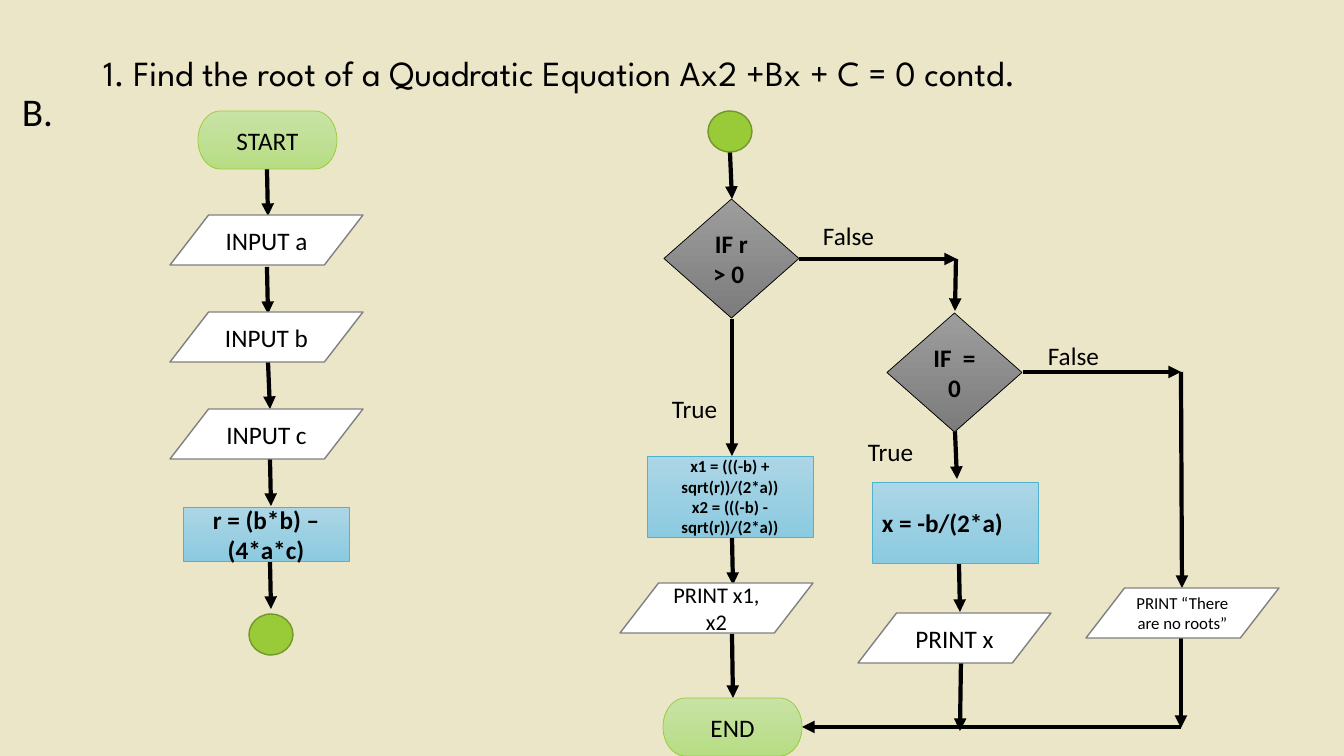
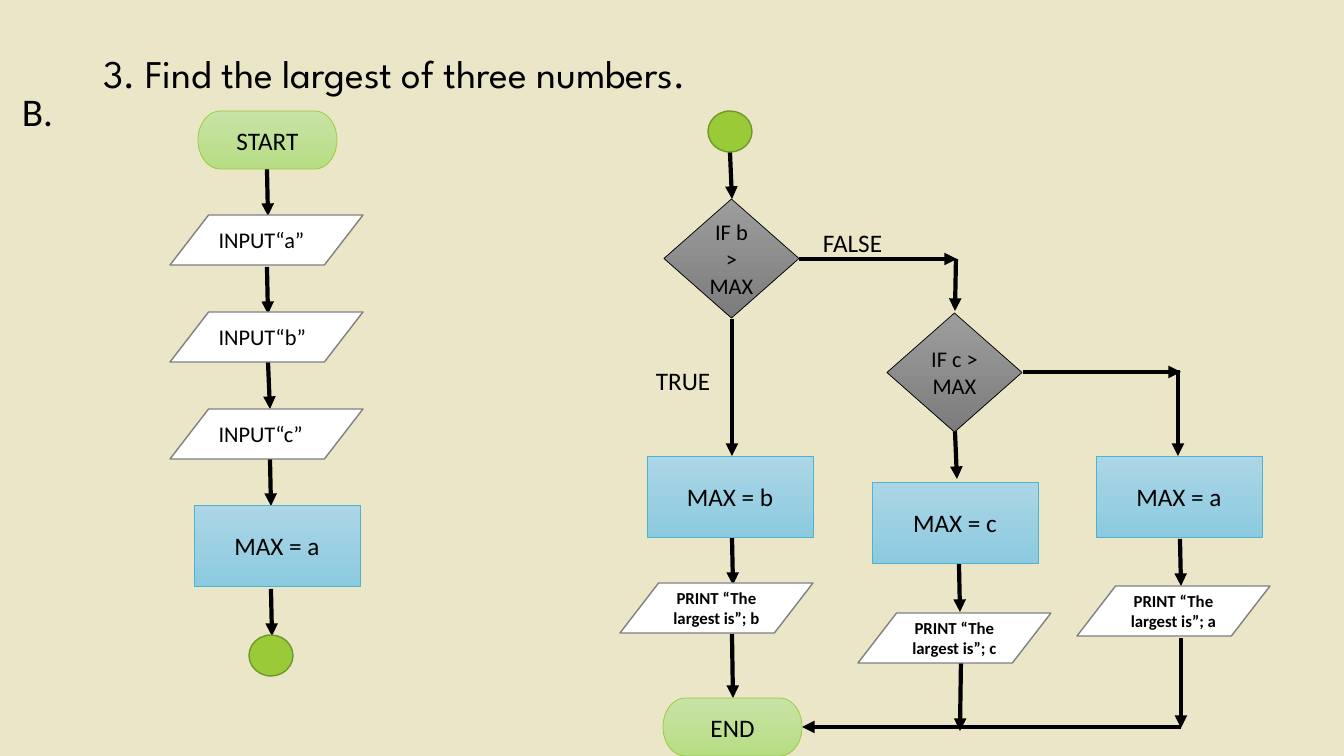
from lxml import etree
from pptx import Presentation
from pptx.dml.color import RGBColor
from pptx.enum.shapes import MSO_CONNECTOR, MSO_SHAPE
from pptx.enum.text import MSO_ANCHOR, MSO_AUTO_SIZE, PP_ALIGN
from pptx.oxml.ns import qn
from pptx.util import Pt

SCALE = 914400 / 100.8
LEFT, CENTER = PP_ALIGN.LEFT, PP_ALIGN.CENTER
MIDDLE, TOP = MSO_ANCHOR.MIDDLE, MSO_ANCHOR.TOP
NO_FIT = MSO_AUTO_SIZE.NONE
STRAIGHT = MSO_CONNECTOR.STRAIGHT
TITLE_ONLY = 5

BLACK = RGBColor(0x00, 0x00, 0x00)
WHITE = RGBColor(0xFF, 0xFF, 0xFF)
GREY = RGBColor(0x80, 0x80, 0x80)
CREAM = RGBColor(0xEB, 0xE6, 0xC8)
GREEN = RGBColor(0x99, 0xCB, 0x38)
DARK_GREEN = RGBColor(0x71, 0x96, 0x29)
GREEN_FADE = (RGBColor(0xC8, 0xE3, 0xA5), RGBColor(0xB7, 0xDD, 0x84))
BLUE = RGBColor(0x4E, 0xB3, 0xCF)
BLUE_FADE = (RGBColor(0xAC, 0xD6, 0xE6), RGBColor(0x8C, 0xCA, 0xE0))
GREY_FADE = (RGBColor(0x9D, 0x9D, 0x9D), RGBColor(0x7C, 0x7C, 0x7C))

TITLE_BOX = (93, 40, 1159, 71)
BODY_BOX = (12, 88, 1284, 668)
INPUT_ORIGIN = (170, 111)
BRANCH_ORIGIN = (620, 111)
INPUT_STEP = 97

NODE_STYLES = {
    "terminator": dict(preset=MSO_SHAPE.FLOWCHART_TERMINATOR, size=(139, 58),
                       fill=GREEN_FADE, line=GREEN, weight=0.5),
    "data": dict(preset=MSO_SHAPE.FLOWCHART_DATA, size=(193, 50),
                 fill=(WHITE,), line=GREY, weight=1),
    "process": dict(preset=MSO_SHAPE.FLOWCHART_PROCESS, size=(166, 81),
                    fill=BLUE_FADE, line=BLUE, weight=0.5),
    "decision": dict(preset=MSO_SHAPE.FLOWCHART_DECISION, size=(135, 119),
                     fill=GREY_FADE, line=BLACK, weight=0.5),
    "connector": dict(preset=MSO_SHAPE.FLOWCHART_CONNECTOR, size=(44, 41),
                      fill=(GREEN,), line=DARK_GREEN, weight=1),
}

INPUT_ARROWS = [
    ((97, 58), (98, 105)),
    ((97, 156), (98, 203)),
    ((98, 251), (100, 298)),
    ((100, 348), (101, 395)),
]
BRANCH_ARROWS = [
    ((110, 41), (112, 88)),
    ((179, 148), (337, 148)),
    ((336, 148), (335, 200)),
    ((112, 208), (112, 345)),
    ((403, 261), (561, 261)),
    ((335, 320), (337, 368)),
    ((112, 426), (113, 474)),
    ((339, 453), (340, 501)),
    ((561, 616), (182, 616)),
    ((561, 527), (561, 617)),
    ((341, 551), (340, 620)),
    ((112, 523), (113, 587)),
]

BOLD = dict(bold=True)
SMALL = dict(size=Pt(12))
MEDIUM = dict(size=Pt(16))
SMALL_BOLD = SMALL | BOLD

FLOWCHARTS = [
    dict(
        title="1. Find the root of a Quadratic Equation Ax2 +Bx + C = 0 contd.",
        title_size=25.2,
        inputs=["INPUT a", "INPUT b", "INPUT c"],
        input_format={},
        input_align=CENTER,
        setup=dict(offset=(13, 396), text="r = (b*b) – (4*a*c)",
                   size=(166, 54), font=BOLD),
        setup_arrow=((100, 450), (101, 498)),
        link=(79, 503),
        branch_arrows=[((561, 261), (562, 477))],
        branch_nodes=[
            ("decision", (44, 88), "IF r > 0 ", BOLD, CENTER),
            ("decision", (267, 202), "IF  = 0", BOLD, CENTER),
            ("process", (27, 345),
             "x1 = (((-b) + sqrt(r))/(2*a))\nx2 = (((-b) - sqrt(r))/(2*a))",
             SMALL_BOLD, CENTER),
            ("process", (252, 371), "x = -b/(2*a)", BOLD, LEFT),
            ("data", (0, 472), "PRINT x1, x2", MEDIUM, CENTER),
            ("data", (238, 502), "PRINT x", {}, CENTER),
            ("data", (466, 477), "PRINT “There are no roots”", SMALL, CENTER),
        ],
        labels=[
            ("True", (42, 277, 110, 40)),
            ("False", (193, 104, 86, 40)),
            ("True", (238, 320, 78, 40)),
            ("False", (418, 224, 80, 40)),
        ],
    ),
    dict(
        title="3. Find the largest of three numbers.",
        title_size=28,
        inputs=["INPUT“a”", "INPUT“b”", "INPUT“c”"],
        input_format=MEDIUM,
        input_align=LEFT,
        setup=dict(offset=(24, 394), text="MAX = a"),
        setup_arrow=((101, 478), (102, 525)),
        link=(79, 524),
        branch_arrows=[((558, 259), (558, 345)), ((560, 428), (561, 475))],
        branch_nodes=[
            ("decision", (44, 88), "IF b > MAX", MEDIUM, CENTER),
            ("decision", (267, 202), "IF c > MAX", MEDIUM, CENTER),
            ("process", (27, 345), "MAX = b", {}, CENTER),
            ("process", (252, 371), "MAX = c", {}, CENTER),
            ("process", (476, 345), "MAX = a", {}, CENTER),
            ("data", (0, 472), "PRINT “The largest is”; b", SMALL_BOLD, CENTER),
            ("data", (238, 502), "PRINT “The largest is”; c", SMALL_BOLD, CENTER),
            ("data", (457, 475), "PRINT “The largest is”; a", SMALL_BOLD, CENTER),
        ],
        labels=[
            ("FALSE", (193, 111, 103, 40)),
            ("TRUE", (26, 249, 85, 40)),
        ],
    ),
]


def to_emu(*pixels):
    return [round(pixel * SCALE) for pixel in pixels]


def shift(origin, offset):
    return origin[0] + offset[0], origin[1] + offset[1]


def set_attributes(target, values):
    for name, value in values.items():
        setattr(target, name, value)


def write_text(shape, text, font=None, paragraph_format=None, anchor=MIDDLE):
    frame = shape.text_frame
    frame.text = text
    set_attributes(frame, dict(word_wrap=True, auto_size=NO_FIT,
                               vertical_anchor=anchor))
    for paragraph in frame.paragraphs:
        set_attributes(paragraph, dict(alignment=LEFT) | (paragraph_format or {}))
        for run in paragraph.runs:
            set_attributes(run.font, dict(name="Calibri", size=Pt(18), bold=False)
                           | (font or {}))
            run.font.color.rgb = BLACK


def add_heading(slide, title, title_size):
    heading = slide.shapes.title
    names = ("left", "top", "width", "height")
    set_attributes(heading, dict(zip(names, to_emu(*TITLE_BOX))))
    write_text(heading, title, dict(name="League Spartan", size=Pt(title_size)),
               dict(line_spacing=0.9))
    body = slide.shapes.add_textbox(*to_emu(*BODY_BOX))
    write_text(body, "B.", dict(size=Pt(28)),
               dict(line_spacing=0.9, space_before=Pt(10)), TOP)


def add_node(slide, kind, position, text="", font=None, align=CENTER, size=None):
    style = NODE_STYLES[kind]
    box = to_emu(*position, *(size or style["size"]))
    shape = slide.shapes.add_shape(style["preset"], *box)
    shape.shadow.inherit = False
    colors = style["fill"]
    if len(colors) == 1:
        shape.fill.solid()
        shape.fill.fore_color.rgb = colors[0]
    else:
        shape.fill.gradient()
        shape.fill.gradient_angle = 270
        for stop, color in zip(shape.fill.gradient_stops, colors):
            stop.color.rgb = color
    shape.line.color.rgb = style["line"]
    shape.line.width = Pt(style["weight"])
    if text:
        write_text(shape, text, font, dict(alignment=align))


def add_arrows(slide, origin, arrows):
    for start, end in arrows:
        arrow = slide.shapes.add_connector(
            STRAIGHT, *to_emu(*shift(origin, start), *shift(origin, end)))
        arrow.line.color.rgb = BLACK
        arrow.line.width = Pt(3)
        properties = arrow.element.spPr
        outline = properties.find(qn("a:ln"))
        etree.SubElement(outline, qn("a:tailEnd"), type="triangle")
        etree.SubElement(properties, qn("a:effectLst"))


def add_input_column(slide, origin, chart):
    add_arrows(slide, origin, INPUT_ARROWS + [chart["setup_arrow"]])
    add_node(slide, "terminator", shift(origin, (28, 0)), "START")
    for index, text in enumerate(chart["inputs"]):
        add_node(slide, "data", shift(origin, (0, 104 + index * INPUT_STEP)), text,
                 chart["input_format"], chart["input_align"])
    setup = dict(chart["setup"])
    add_node(slide, "process", shift(origin, setup.pop("offset")), **setup)
    add_node(slide, "connector", shift(origin, chart["link"]))


def add_branches(slide, origin, chart):
    add_arrows(slide, origin, BRANCH_ARROWS + chart["branch_arrows"])
    add_node(slide, "connector", shift(origin, (88, 0)))
    for kind, offset, text, font, align in chart["branch_nodes"]:
        add_node(slide, kind, shift(origin, offset), text, font, align)
    add_node(slide, "terminator", shift(origin, (43, 587)), "END")
    for text, (left, top, width, height) in chart["labels"]:
        position = shift(origin, (left, top))
        label = slide.shapes.add_textbox(*to_emu(*position, width, height))
        write_text(label, text, anchor=TOP)


def add_flowchart_slide(presentation, chart):
    slide = presentation.slides.add_slide(presentation.slide_layouts[TITLE_ONLY])
    add_heading(slide, chart["title"], chart["title_size"])
    add_input_column(slide, INPUT_ORIGIN, chart)
    add_branches(slide, BRANCH_ORIGIN, chart)


presentation = Presentation()
presentation.slide_width, presentation.slide_height = to_emu(1344, 756)
background = presentation.slide_master.background.fill
background.solid()
background.fore_color.rgb = CREAM
for chart in FLOWCHARTS:
    add_flowchart_slide(presentation, chart)
presentation.save("out.pptx")
